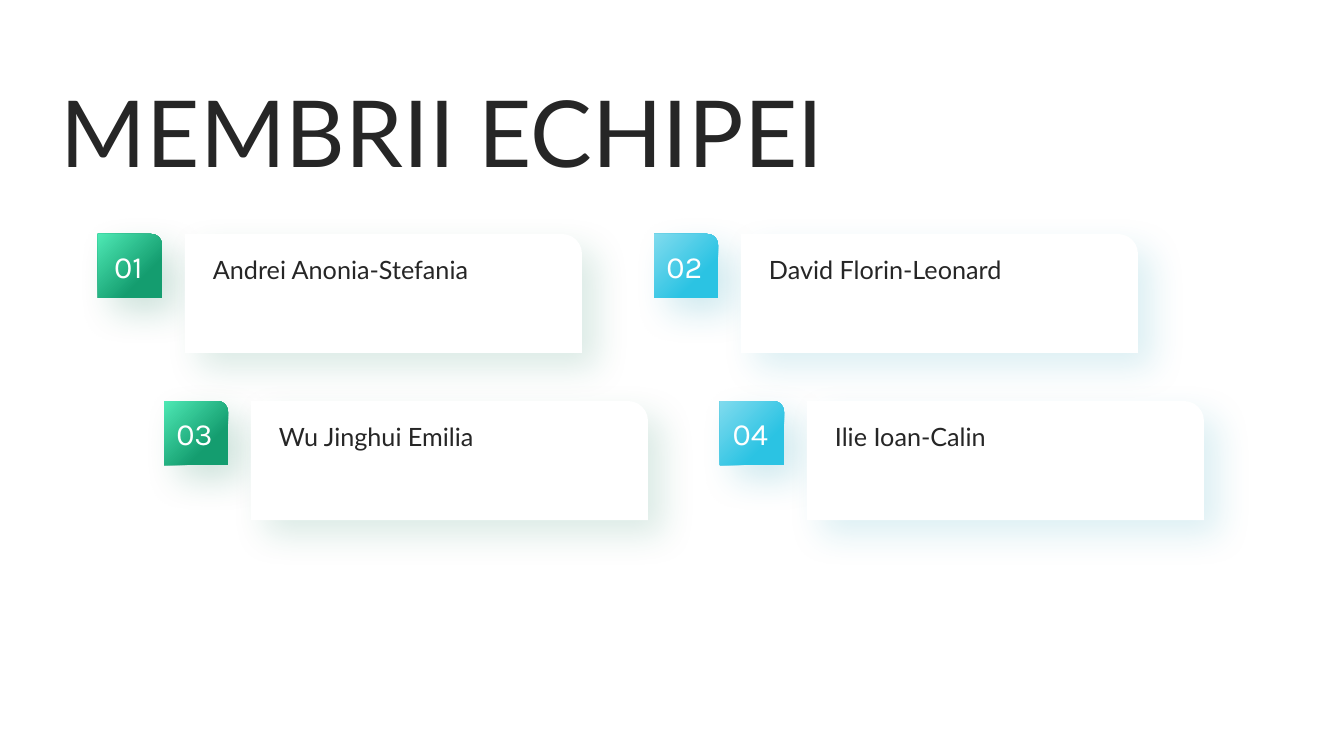
from dataclasses import dataclass

from pptx import Presentation, util as u
from pptx.dml.color import RGBColor
from pptx.enum import shapes, text
from pptx.oxml import parse_xml
from pptx.oxml.ns import nsdecls


@dataclass(frozen=True)
class Tint:
    light: str
    deep: str
    shade: str


@dataclass(frozen=True)
class Theme:
    ink: str = "262626"
    white: str = "FFFFFF"
    green: Tint = Tint("4EE8B4", "149D6F", "0F7653")
    blue: Tint = Tint("80DBEE", "2BC3E3", "1898B3")
    body: str = "Lato"
    digit: str = "Karla"
    title: int = 66
    name: int = 18
    label: int = 22


def px(n):
    return u.Emu(round(n * 914400 / 100.8))


class Page:
    def __init__(self, deck, theme):
        self.theme = theme
        self.slide = deck.slides.add_slide(deck.slide_layouts[6])

    def put_text(self, shape, words, font, size, color, align, anchor):
        frame = shape.text_frame
        frame.word_wrap = True
        frame.vertical_anchor = anchor
        frame.margin_left = frame.margin_right = 0
        frame.margin_top = frame.margin_bottom = 0
        para = frame.paragraphs[0]
        para.text = words
        para.alignment = align
        para.font.name, para.font.size = font, u.Pt(size)
        para.font.color.rgb = RGBColor.from_string(color)

    def label(self, words, box, size, anchor=text.MSO_ANCHOR.TOP):
        shape = self.slide.shapes.add_textbox(*map(px, box))
        self.put_text(shape, words, self.theme.body, size, self.theme.ink,
                      text.PP_ALIGN.LEFT, anchor)

    def panel(self, box, shade, alpha):
        """Rectangle with one round corner and a soft tinted shadow."""
        shape = self.slide.shapes.add_shape(
            shapes.MSO_SHAPE.ROUND_1_RECTANGLE, *map(px, box))
        shape.line.fill.background()
        shape.shadow.inherit = False
        effects = shape.element.spPr.xpath("a:effectLst")[0]
        effects.append(parse_xml(
            f'<a:outerShdw {nsdecls("a")} blurRad="{u.Pt(25)}" dist="{u.Pt(15)}" '
            f'dir="2700000" algn="tl" rotWithShape="0"><a:srgbClr val="{shade}">'
            f'<a:alpha val="{alpha * 1000}"/></a:srgbClr></a:outerShdw>'))
        return shape

    def card(self, box, tint):
        shape = self.panel(box, tint.shade, 15)
        shape.fill.solid()
        shape.fill.fore_color.rgb = RGBColor.from_string(self.theme.white)

    def badge(self, words, box, tint):
        shape = self.panel(box, tint.shade, 20)
        shape.fill.gradient()
        stops = zip(shape.fill.gradient_stops, (0, 0.7), (tint.light, tint.deep))
        for stop, place, color in stops:
            stop.position = place
            stop.color.rgb = RGBColor.from_string(color)
        # Radial gradient that starts in the top left corner
        line = shape.element.spPr.xpath(".//a:lin")[0]
        line.getparent().replace(line, parse_xml(
            f'<a:path {nsdecls("a")} path="circle">'
            '<a:fillToRect r="100000" b="100000"/></a:path>'))
        self.put_text(shape, words, self.theme.digit, self.theme.label,
                      self.theme.white, text.PP_ALIGN.CENTER,
                      text.MSO_ANCHOR.MIDDLE)


def main():
    deck = Presentation()
    deck.slide_width, deck.slide_height = px(1344), px(756)
    theme = Theme()
    page = Page(deck, theme)

    # Title
    page.label("MEMBRII ECHIPEI", (61, 83, 1012, 96), theme.title,
               text.MSO_ANCHOR.MIDDLE)

    # Team members: two columns, the second row shifted right
    team = ("Andrei Anonia-Stefania", "David Florin-Leonard",
            "Wu Jinghui Emilia", "Ilie Ioan-Calin")
    for i, name in enumerate(team):
        row, col = divmod(i, 2)
        left, top = 98 + 556 * col + 66 * row, 234 + 167 * row
        tint = (theme.green, theme.blue)[col]
        page.badge(f"{i + 1:02}", (left, top, 64, 64), tint)
        page.card((left + 87, top, 397, 119), tint)
        page.label(name, (left + 115, top + 20, 342, 80), theme.name)

    deck.save("out.pptx")


if __name__ == "__main__":
    main()
